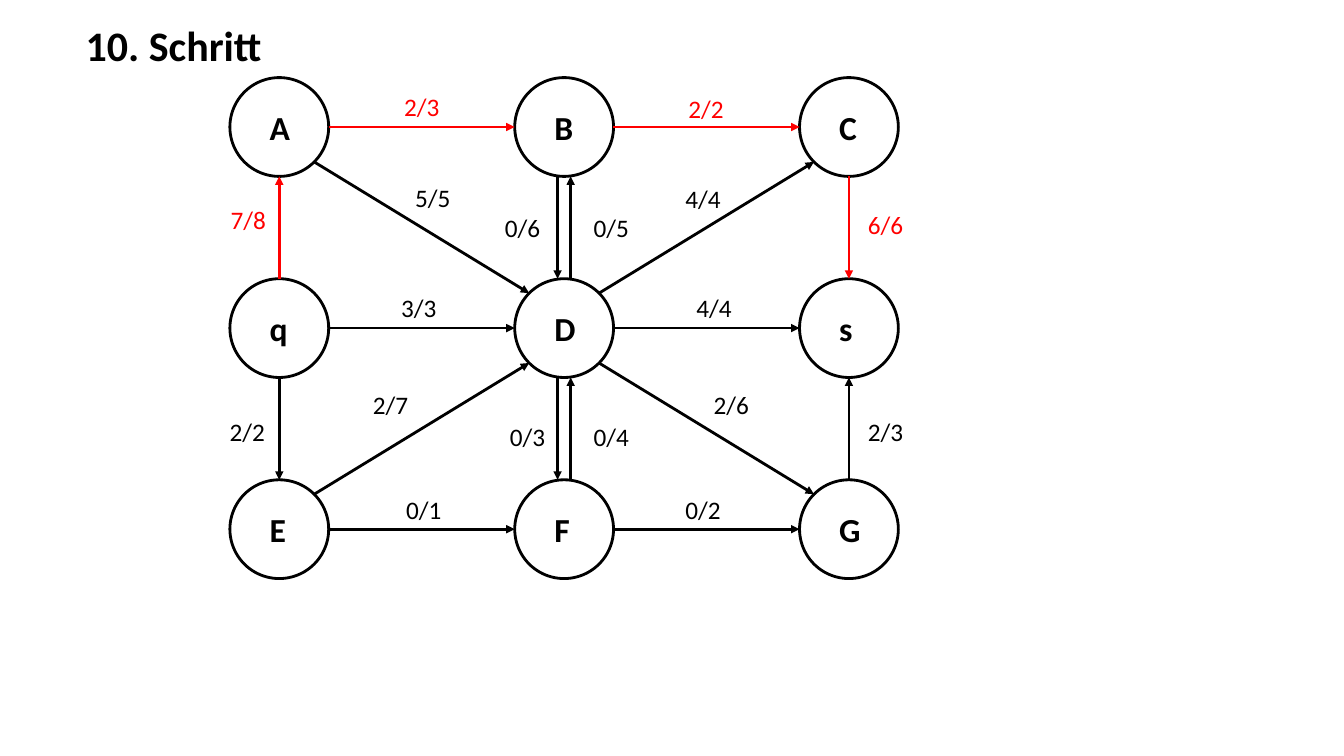
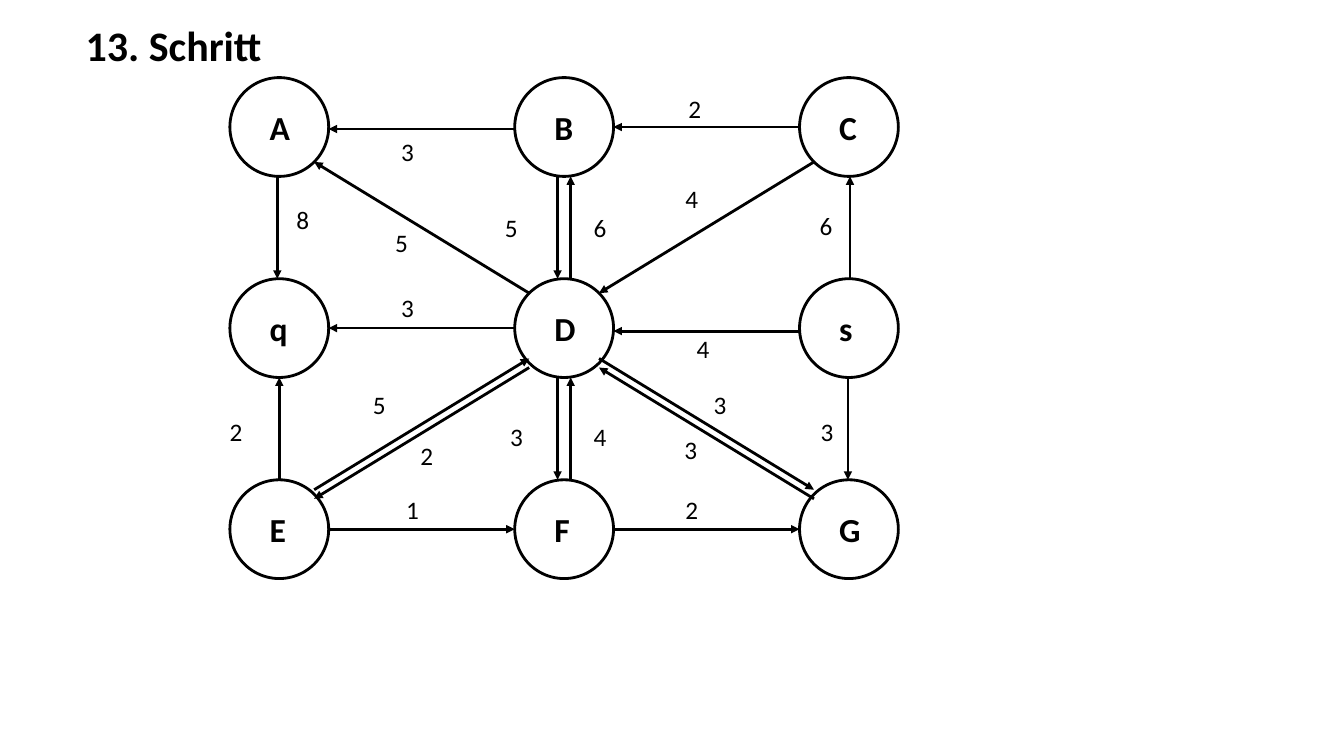
import math

import lxml.etree
import pptx
import pptx.dml.color
import pptx.enum.shapes
import pptx.enum.text
import pptx.oxml.ns
import pptx.util

Inches = pptx.util.Inches
Pt = pptx.util.Pt
BLACK = pptx.dml.color.RGBColor(0x00, 0x00, 0x00)
RED = pptx.dml.color.RGBColor(0xFF, 0x00, 0x00)

TITLE_FONT = {"name": "Calibri", "size": Pt(30), "bold": True}
NODE_FONT = {"name": "Calibri", "size": Pt(24), "bold": True}
LABEL_FONT = {"name": "Calibri", "size": Pt(18), "bold": False}
TEXT_FRAME = {
    "word_wrap": False,
    "auto_size": pptx.enum.text.MSO_AUTO_SIZE.SHAPE_TO_FIT_TEXT,
    "vertical_anchor": pptx.enum.text.MSO_ANCHOR.TOP,
}
NODE_FRAME = {
    "word_wrap": True,
    "vertical_anchor": pptx.enum.text.MSO_ANCHOR.MIDDLE,
    "margin_left": Inches(0.25),
    "margin_right": 0,
    "margin_top": 0,
    "margin_bottom": 0,
}

LINE_WIDTH = Pt(2)
DIAMETER = 0.98
RADIUS = DIAMETER / 2
GRID_LEFT, GRID_TOP = 2.77, 1.26
COLUMN_STEP, ROW_STEP = 5.65 / 2, 3.99 / 2
NODE_ROWS = ("ABC", "qDs", "EFG")
CENTERS = {
    name: (GRID_LEFT + column * COLUMN_STEP, GRID_TOP + row * ROW_STEP)
    for row, names in enumerate(NODE_ROWS)
    for column, name in enumerate(names)
}
PAIR = 0.13 / 2
DIAGONAL_PAIR = 0.09 / 2

FLOW_EDGES = (
    ("AB", 0, "2/3", 3.91, 0.86, RED),
    ("BC", 0, "2/2", 6.73, 0.88, RED),
    ("qD", 0, "3/3", 3.88, 2.85, BLACK),
    ("Ds", 0, "4/4", 6.81, 2.85, BLACK),
    ("EF", 0, "0/1", 3.93, 4.85, BLACK),
    ("FG", 0, "0/2", 6.7, 4.85, BLACK),
    ("AD", 0, "5/5", 4.02, 1.76, BLACK),
    ("DG", 0, "2/6", 6.98, 3.81, BLACK),
    ("ED", 0, "2/7", 3.6, 3.81, BLACK),
    ("DC", 0, "4/4", 6.7, 1.77, BLACK),
    ("qA", 0, "7/8", 2.19, 1.98, RED),
    ("qE", 0, "2/2", 2.18, 4.08, BLACK),
    ("Cs", 0, "6/6", 8.51, 2.03, RED),
    ("Gs", 0, "2/3", 8.51, 4.08, BLACK),
    ("BD", -PAIR, "0/6", 4.91, 2.06, BLACK),
    ("DB", PAIR, "0/5", 5.79, 2.06, BLACK),
    ("FD", PAIR, "0/4", 5.79, 4.13, BLACK),
    ("DF", -PAIR, "0/3", 4.96, 4.13, BLACK),
)
RESIDUAL_EDGES = (
    ("BA", 0.02, "3", 3.88, 1.3, BLACK),
    ("CB", 0, "2", 6.73, 0.88, BLACK),
    ("Dq", 0, "3", 3.88, 2.85, BLACK),
    ("sD", 0.03, "4", 6.81, 3.26, BLACK),
    ("EF", 0, "1", 3.93, 4.85, BLACK),
    ("FG", 0, "2", 6.7, 4.85, BLACK),
    ("DA", 0, "5", 3.82, 2.21, BLACK),
    ("CD", 0, "4", 6.7, 1.77, BLACK),
    ("DG", -DIAGONAL_PAIR, "3", 6.98, 3.81, BLACK),
    ("GD", DIAGONAL_PAIR, "3", 6.69, 4.26, BLACK),
    ("ED", -DIAGONAL_PAIR, "5", 3.6, 3.81, BLACK),
    ("DE", DIAGONAL_PAIR, "2", 4.07, 4.32, BLACK),
    ("Aq", -0.02, "8", 2.84, 1.98, BLACK),
    ("Eq", 0, "2", 2.18, 4.08, BLACK),
    ("sC", 0.01, "6", 8.03, 2.04, BLACK),
    ("sG", -0.01, "3", 8.04, 4.08, BLACK),
    ("BD", -PAIR, "5", 4.91, 2.06, BLACK),
    ("DB", PAIR, "6", 5.79, 2.06, BLACK),
    ("FD", PAIR, "4", 5.79, 4.13, BLACK),
    ("DF", -PAIR, "3", 4.96, 4.13, BLACK),
)


def apply_format(target, values):
    for name, value in values.items():
        setattr(target, name, value)


def write_text(shape, text, font, frame, color=BLACK):
    apply_format(shape.text_frame, frame)
    paragraph = shape.text_frame.paragraphs[0]
    paragraph.alignment = pptx.enum.text.PP_ALIGN.LEFT
    run = paragraph.add_run()
    run.text = text
    apply_format(run.font, font)
    run.font.color.rgb = color


def add_title(slide, text):
    title = slide.shapes.title
    apply_format(title, {
        "left": Inches(0.75), "top": Inches(0.14),
        "width": Inches(1.97), "height": Inches(0.61),
    })
    write_text(title, text, TITLE_FONT, TEXT_FRAME)


def add_node(slide, name):
    x, y = CENTERS[name]
    node = slide.shapes.add_shape(
        pptx.enum.shapes.MSO_SHAPE.OVAL,
        Inches(x - RADIUS), Inches(y - RADIUS), Inches(DIAMETER), Inches(DIAMETER),
    )
    node.shadow.inherit = False
    node.fill.background()
    node.line.color.rgb = BLACK
    node.line.width = LINE_WIDTH
    write_text(node, name, NODE_FONT, NODE_FRAME)


def edge_ends(start, end, shift):
    (x1, y1), (x2, y2) = CENTERS[start], CENTERS[end]
    across = (x2 > x1) - (x2 < x1)
    down = (y2 > y1) - (y2 < y1)
    reach = RADIUS / math.hypot(across, down)
    shift_x, shift_y = (0, shift) if across else (shift, 0)
    return (
        x1 + across * reach + shift_x, y1 + down * reach + shift_y,
        x2 - across * reach + shift_x, y2 - down * reach + shift_y,
    )


def add_arrow(slide, ends, color):
    arrow = slide.shapes.add_connector(
        pptx.enum.shapes.MSO_CONNECTOR.STRAIGHT, *(Inches(end) for end in ends)
    )
    arrow.line.color.rgb = color
    arrow.line.width = LINE_WIDTH
    qualified = pptx.oxml.ns.qn
    properties = arrow.element.find(qualified("p:spPr"))
    outline = properties.find(qualified("a:ln"))
    lxml.etree.SubElement(outline, qualified("a:tailEnd"), type="triangle")
    lxml.etree.SubElement(properties, qualified("a:effectLst"))


def add_label(slide, text, left, top, color):
    label = slide.shapes.add_textbox(
        Inches(left), Inches(top), Inches(0.2 + 0.12 * len(text)), Inches(0.4)
    )
    write_text(label, text, LABEL_FONT, TEXT_FRAME, color)


def add_graph_slide(presentation, title, edges):
    slide = presentation.slides.add_slide(presentation.slide_layouts[5])
    add_title(slide, title)
    for name in CENTERS:
        add_node(slide, name)
    for (start, end), shift, text, left, top, color in edges:
        add_arrow(slide, edge_ends(start, end, shift), color)
        add_label(slide, text, left, top, color)


def main():
    presentation = pptx.Presentation()
    presentation.slide_width = Inches(13.33)
    presentation.slide_height = Inches(7.5)
    add_graph_slide(presentation, "10. Schritt", FLOW_EDGES)
    add_graph_slide(presentation, "13. Schritt", RESIDUAL_EDGES)
    presentation.save("out.pptx")


if __name__ == "__main__":
    main()
